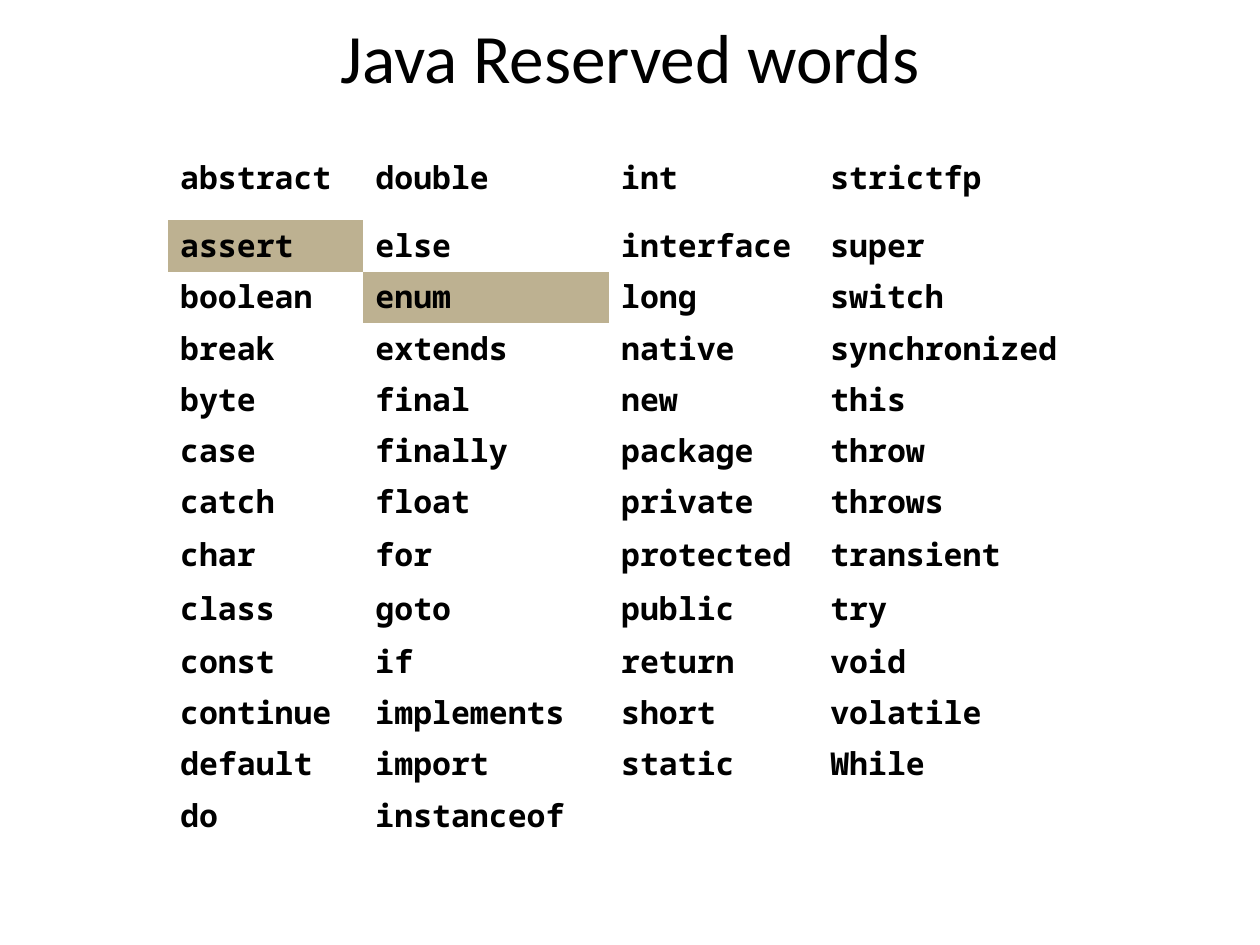
from dataclasses import dataclass

from pptx import Presentation
from pptx.dml.color import RGBColor
from pptx.enum.text import MSO_ANCHOR, PP_ALIGN
from pptx.oxml.ns import qn
from pptx.util import Inches, Pt

BLACK = RGBColor(0x00, 0x00, 0x00)
TAN = RGBColor(0xBD, 0xB1, 0x91)
NO_STYLE = "{2D5ABB26-0587-4C30-8999-92F81FD0307C}"
HIGHLIGHTED = {"assert", "enum"}


@dataclass(frozen=True)
class WordColumn:
    width: float
    words: str


COLUMNS = [
    WordColumn(1.55, "abstract assert boolean break byte case catch char class "
                     "const continue default do"),
    WordColumn(1.95, "double else enum extends final finally float for goto if "
                     "implements import instanceof"),
    WordColumn(1.66, "int interface long native new package private protected "
                     "public return short static"),
    WordColumn(2.17, "strictfp super switch synchronized this throw throws "
                     "transient try void volatile While"),
]
ROW_HEIGHTS = [0.67] + [0.4] * 6 + [0.43] * 2 + [0.4] * 4


def format_run(r, font: str, size: float, bold: bool = False) -> None:
    r.font.name = font
    r.font.size = Pt(size)
    r.font.bold = bold
    r.font.color.rgb = BLACK


def fill_cell(cell, word: str) -> None:
    cell.vertical_anchor = MSO_ANCHOR.MIDDLE
    if word in HIGHLIGHTED:
        cell.fill.solid()
        cell.fill.fore_color.rgb = TAN
    else:
        cell.fill.background()
    if not word:
        return
    p = cell.text_frame.paragraphs[0]
    p.text = word
    p.line_spacing = 0.9
    p.space_before = Pt(3.6)
    pPr = p._p.get_or_add_pPr()
    pPr.set("marL", str(Inches(0.21)))
    pPr.set("indent", str(Inches(-0.21)))
    format_run(p.runs[0], "Noto Sans Mono", 18, True)


def add_title(s, text: str) -> None:
    title = s.shapes.title
    title.left, title.top = Inches(0), Inches(0.14)
    title.width, title.height = Inches(10), Inches(0.6)
    tf = title.text_frame
    tf.text = text
    tf.vertical_anchor = MSO_ANCHOR.MIDDLE
    p = tf.paragraphs[0]
    p.alignment = PP_ALIGN.CENTER
    format_run(p.runs[0], "Calibri", 39.6)


def add_word_table(s) -> None:
    frame = s.shapes.add_table(
        len(ROW_HEIGHTS), len(COLUMNS), Inches(1.33), Inches(1.08),
        Inches(sum(c.width for c in COLUMNS)), Inches(sum(ROW_HEIGHTS)))
    table = frame.table
    table.first_row = False
    table.horz_banding = False
    for style in frame.element.iter(qn("a:tableStyleId")):
        style.text = NO_STYLE
    for row, height in zip(table.rows, ROW_HEIGHTS):
        row.height = Inches(height)
    for j, column in enumerate(COLUMNS):
        table.columns[j].width = Inches(column.width)
        words = column.words.split()
        for i in range(len(ROW_HEIGHTS)):
            fill_cell(table.cell(i, j), words[i] if i < len(words) else "")


prs = Presentation()
prs.slide_width, prs.slide_height = Inches(10), Inches(7.5)
s = prs.slides.add_slide(prs.slide_layouts[5])
add_title(s, "Java Reserved words")
add_word_table(s)
prs.save("out.pptx")
